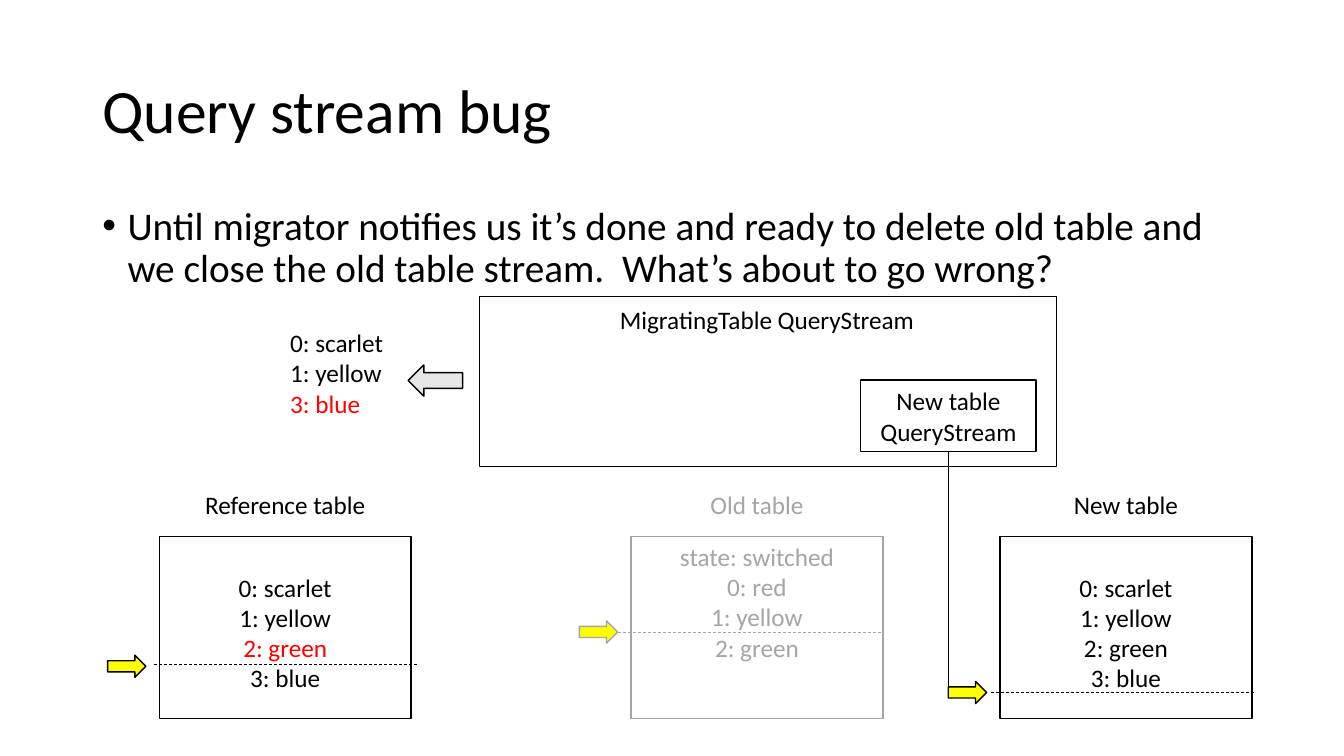
from lxml import etree
from pptx import Presentation
from pptx.dml.color import RGBColor
from pptx.enum.dml import MSO_LINE
from pptx.enum.shapes import MSO_CONNECTOR, MSO_SHAPE
from pptx.enum.text import MSO_ANCHOR, PP_ALIGN
from pptx.oxml.ns import qn
from pptx.util import Inches, Pt

BLACK = RGBColor(0, 0, 0)
GREY = RGBColor(0xA5, 0xA5, 0xA5)
PALE = RGBColor(0xE7, 0xE6, 0xE6)
RED = RGBColor(0xFF, 0, 0)
YELLOW = RGBColor(0xFF, 0xFF, 0)

COLUMNS, ROWS = 160, 90
MARGIN, CONTENT_WIDTH = 11, 138
TABLE_TOP, TABLE_WIDTH, TABLE_HEIGHT = 63.84, 30, 21.72
LABEL_TOP, LABEL_HEIGHT = 57.7, 4.8
TEXT_ROW = 3.66
CURSOR_WIDTH, CURSOR_HEIGHT, CURSOR_GAP = 4.56, 2.64, 6.15
DASH_LENGTH = 31.5


class Diagram:
    """Style and slide, measured in grid columns and rows."""

    font = "Calibri"
    size = 18

    def __init__(self, presentation):
        """Add a blank slide and work out the grid cell."""
        self.slide = presentation.slides.add_slide(presentation.slide_layouts[6])
        self.column = presentation.slide_width / COLUMNS
        self.row = presentation.slide_height / ROWS

    def place(self, x, y, width, height):
        """Turn grid lengths into slide lengths."""
        return (round(x * self.column), round(y * self.row),
                round(width * self.column), round(height * self.row))

    def fill_text(self, frame, lines, color, size, align, spacing=None):
        """Fill a text frame; a line is a string or a (string, colour) pair."""
        frame.word_wrap = True
        for index, line in enumerate(lines):
            words, ink = line if isinstance(line, tuple) else (line, color)
            paragraph = frame.add_paragraph() if index else frame.paragraphs[0]
            paragraph.alignment = align
            paragraph.line_spacing = spacing
            run = paragraph.add_run()
            run.text = words
            run.font.name, run.font.size = self.font, Pt(size)
            run.font.color.rgb = ink

    def text(self, box, lines, color=BLACK, size=size, align=PP_ALIGN.CENTER,
             spacing=None, anchor=MSO_ANCHOR.TOP):
        """Add a text box and return its frame."""
        frame = self.slide.shapes.add_textbox(*self.place(*box)).text_frame
        frame.vertical_anchor = anchor
        self.fill_text(frame, lines, color, size, align, spacing)
        return frame

    def bullet(self, box, words, size):
        """Add one bulleted paragraph with a hanging indent."""
        frame = self.text(box, [words], size=size, align=PP_ALIGN.LEFT, spacing=0.9)
        properties = frame.paragraphs[0]._p.get_or_add_pPr()
        properties.set("marL", str(Inches(0.25)))
        properties.set("indent", str(-Inches(0.25)))
        etree.SubElement(properties, qn("a:buFont")).set("typeface", "Arial")
        etree.SubElement(properties, qn("a:buChar")).set("char", "•")

    def shape(self, kind, box, color=BLACK, fill=None, lines=()):
        """Add an outlined preset shape, filled or hollow."""
        shape = self.slide.shapes.add_shape(kind, *self.place(*box))
        shape.shadow.inherit = False
        shape.line.color.rgb, shape.line.width = color, Pt(1)
        if fill is None:
            shape.fill.background()
        else:
            shape.fill.solid()
            shape.fill.fore_color.rgb = fill
        shape.text_frame.vertical_anchor = MSO_ANCHOR.MIDDLE
        self.fill_text(shape.text_frame, lines, color, self.size, PP_ALIGN.CENTER)

    def line(self, x, y, width=0, height=0, color=BLACK, dash=None):
        """Add a thin straight line."""
        left, top, across, down = self.place(x, y, width, height)
        line = self.slide.shapes.add_connector(
            MSO_CONNECTOR.STRAIGHT, left, top, left + across, top + down)
        line.line.color.rgb, line.line.width = color, Pt(0.5)
        line.line.dash_style = dash
        etree.SubElement(line._element.spPr, qn("a:effectLst"))

    def table_state(self, name, left, first_row, entries, cursor_top,
                    dash_left, dash_top, color=BLACK):
        """Draw a store with its label, entries and read cursor."""
        self.shape(MSO_SHAPE.RECTANGLE,
                   (left, TABLE_TOP, TABLE_WIDTH, TABLE_HEIGHT), color)
        self.text((left, LABEL_TOP, TABLE_WIDTH, LABEL_HEIGHT), [name], color)
        self.text((left, TABLE_TOP + first_row * TEXT_ROW, TABLE_WIDTH,
                   (len(entries) + 0.4) * TEXT_ROW), entries, color)
        self.shape(MSO_SHAPE.RIGHT_ARROW, (left - CURSOR_GAP, cursor_top,
                                           CURSOR_WIDTH, CURSOR_HEIGHT), color, YELLOW)
        self.line(dash_left, dash_top, DASH_LENGTH, color=color, dash=MSO_LINE.DASH)


def main():
    """Build the slide and save it."""
    presentation = Presentation()
    presentation.slide_width, presentation.slide_height = Inches(13.33), Inches(7.5)
    diagram = Diagram(presentation)

    diagram.text((MARGIN, 4.8, CONTENT_WIDTH, 17.4), ["Query stream bug"], size=44,
                 align=PP_ALIGN.LEFT, spacing=0.9, anchor=MSO_ANCHOR.MIDDLE)
    diagram.bullet((MARGIN, 24, CONTENT_WIDTH, 57),
                   "Until migrator notifies us it’s done and ready to delete old table "
                   "and we close the old table stream.  What’s about to go wrong?", 28)

    scarlet, yellow, green, blue = "0: scarlet", "1: yellow", "2: green", "3: blue"
    diagram.table_state("Old table", 75.12, 0,
                        ["state: switched", "0: red", yellow, green],
                        73.92, 73.56, 75.24, GREY)
    diagram.table_state("New table", 119.04, 1, [scarlet, yellow, green, blue],
                        81.12, 117.96, 82.44)
    diagram.table_state("Reference table", 18.96, 1,
                        [scarlet, yellow, (green, RED), blue], 78, 18.36, 79.08)

    diagram.shape(MSO_SHAPE.RECTANGLE, (57.12, 35.28, 68.64, 20.28))
    diagram.text((72.6, 35.64, 40, LABEL_HEIGHT), ["MigratingTable QueryStream"],
                 align=PP_ALIGN.LEFT)
    diagram.shape(MSO_SHAPE.RECTANGLE, (102.48, 45.24, 20.88, 8.52),
                  lines=["New table QueryStream"])
    diagram.line(112.92, 53.7, height=28.74)

    diagram.text((33.36, 38.4, 14, 12.12), [scarlet, yellow, (blue, RED)],
                 align=PP_ALIGN.LEFT)
    diagram.shape(MSO_SHAPE.LEFT_ARROW, (48.6, 43.44, 6.48, 3.72), fill=PALE)

    presentation.save("out.pptx")


main()
